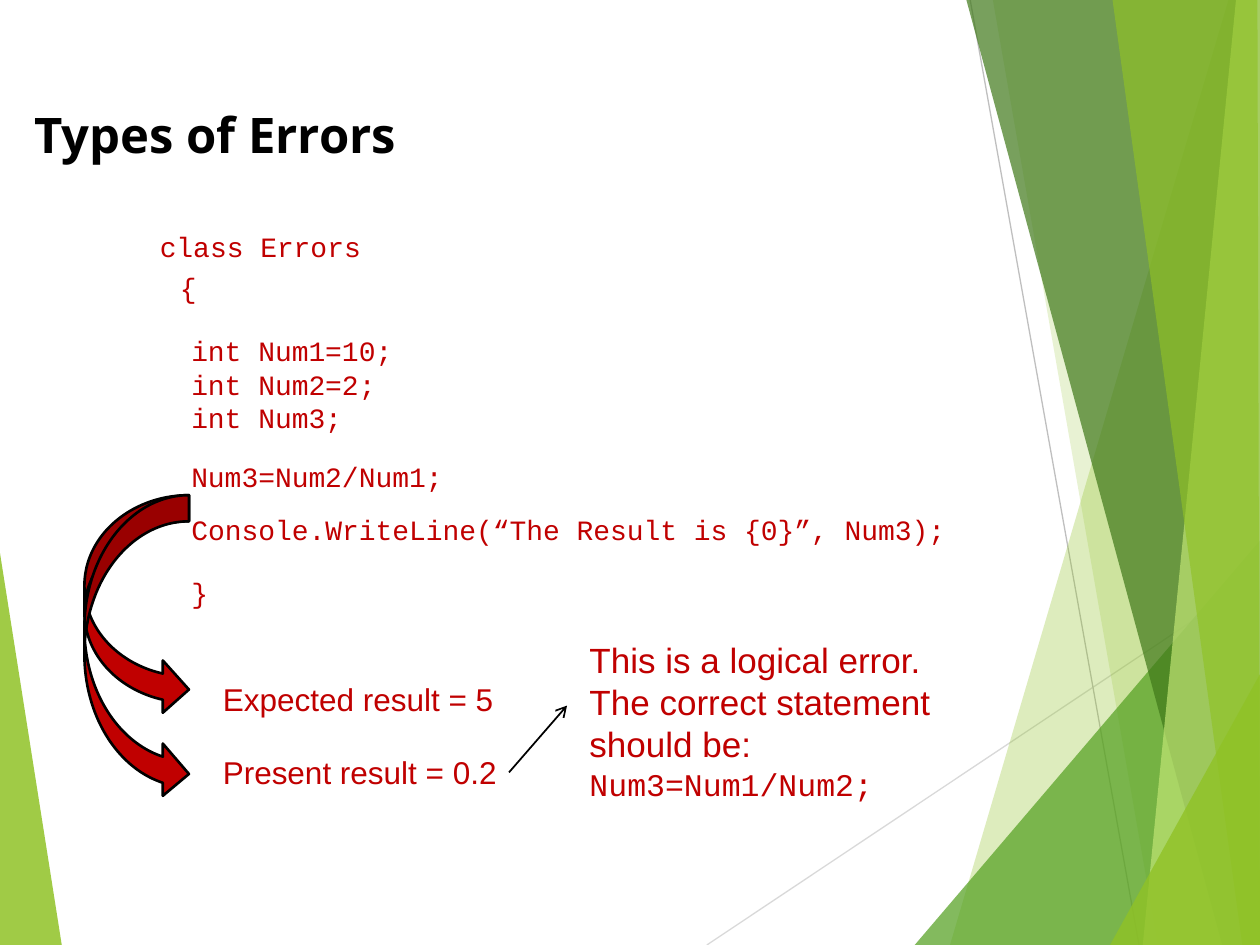
"""Build the slide on types of errors, with a logical error example."""
from lxml.etree import SubElement
from pptx import Presentation
from pptx.dml.color import RGBColor
from pptx.enum.shapes import MSO_CONNECTOR, MSO_SHAPE
from pptx.enum.text import MSO_ANCHOR, PP_ALIGN
from pptx.oxml.ns import qn
from pptx.util import Inches, Pt

RED = RGBColor(0xC0, 0x00, 0x00)
BLACK = RGBColor(0x00, 0x00, 0x00)
LIME = RGBColor(0x90, 0xC2, 0x26)
GREEN = RGBColor(0x54, 0xA0, 0x21)
DARK_GREEN = RGBColor(0x3F, 0x78, 0x19)
PALE_LIME = RGBColor(0xC0, 0xE4, 0x74)
LIGHT_GREY = RGBColor(0xD9, 0xD9, 0xD9)
GREY = RGBColor(0xBF, 0xBF, 0xBF)
CODE_FONT = "Courier New"
TEXT_FONT = "Arial"


def add_line(start, end, color, width):
    line = slide.shapes.add_connector(
        MSO_CONNECTOR.STRAIGHT, *map(Inches, start), *map(Inches, end))
    line.line.color.rgb = color
    line.line.width = Pt(width)
    SubElement(line._element.spPr, qn("a:effectLst"))
    return line


def format_run(run, font, size, color=RED):
    run.font.name = font
    run.font.size = Pt(size)
    run.font.color.rgb = color


deck = Presentation()
deck.slide_width = Inches(10)
deck.slide_height = Inches(7.5)
slide = deck.slides.add_slide(deck.slide_layouts[5])

add_line((5.61, 7.5), (10, 4.57), LIGHT_GREY, 0.75)
add_line((7.7, 0), (9.04, 7.5), GREY, 0.75)

facets = [
    ([(0, 4.39), (0.49, 7.5), (0, 7.5)], LIME, 85),
    ([(9.75, 0), (7.54, 7.5), (10, 7.5), (10, 0)], LIME, 30),
    ([(7.88, 0), (9.19, 7.5), (10, 7.5), (10, 0)], LIME, 20),
    ([(7.26, 7.5), (10, 4.29), (10, 7.5)], GREEN, 72),
    ([(7.67, 0), (9.7, 7.5), (10, 7.5), (10, 0)], DARK_GREEN, 70),
    ([(9.81, 0), (9.07, 7.5), (10, 7.5), (10, 0)], PALE_LIME, 70),
    ([(8.83, 0), (9.86, 7.5), (10, 7.5), (9.98, 0)], LIME, 65),
    ([(8.81, 7.5), (10, 5.35), (10, 7.5)], LIME, 80),
]
for corners, color, opacity in facets:
    points = [(Inches(x), Inches(y)) for x, y in corners]
    builder = slide.shapes.build_freeform(*points[0])
    builder.add_line_segments(points[1:], close=True)
    facet = builder.convert_to_shape()
    facet.shadow.inherit = False
    facet.fill.solid()
    facet.fill.fore_color.rgb = color
    facet.line.fill.background()
    color_element = facet._element.spPr.find(qn("a:solidFill"))[0]
    SubElement(color_element, qn("a:alpha"), val=str(opacity * 1000))

title = slide.shapes.title
title.left, title.top, title.width, title.height = map(Inches, (0.17, 0.78, 9.58, 0.57))
title.text_frame.text = "Types of Errors"
title.text_frame.vertical_anchor = MSO_ANCHOR.MIDDLE
title_para = title.text_frame.paragraphs[0]
title_para.alignment = PP_ALIGN.LEFT
format_run(title_para.runs[0], "Open Sans", 28, BLACK)
title_para.runs[0].font.bold = True

texts = [
    (1.17, 1.77, 2.17, 0.37, "class Errors", CODE_FONT, 16),
    (1.33, 2.1, 0.4, 0.37, "{", CODE_FONT, 16),
    (1.42, 2.6, 3, 0.91, "int Num1=10;\nint Num2=2;\nint Num3;", CODE_FONT, 16),
    (1.42, 3.6, 3.04, 0.37, "Num3=Num2/Num1;", CODE_FONT, 16),
    (1.42, 4.02, 7.25, 0.37,
     "Console.WriteLine(“The Result is {0}”, Num3);", CODE_FONT, 16),
    (1.42, 4.52, 0.34, 0.37, "}", CODE_FONT, 16),
    (1.67, 5.35, 2.4, 0.4, "Expected result = 5", TEXT_FONT, 18),
    (1.67, 5.93, 2.4, 0.4, "Present result = 0.2", TEXT_FONT, 18),
    (4.58, 5.02, 3.08, 1.73,
     "This is a logical error. The correct statement should be: ", TEXT_FONT, 20),
]
for left, top, width, height, text, font, size in texts:
    box = slide.shapes.add_textbox(*map(Inches, (left, top, width, height)))
    box.text_frame.word_wrap = True
    box.text_frame.text = text
    for para in box.text_frame.paragraphs:
        format_run(para.runs[0], font, size)

correction = para.add_run()
correction.text = "Num3=Num1/Num2;"
format_run(correction, CODE_FONT, 18)

for height in (1.75, 2.42):
    arrow = slide.shapes.add_shape(
        MSO_SHAPE.CURVED_RIGHT_ARROW, *map(Inches, (0.67, 3.93, 0.83, height)))
    arrow.shadow.inherit = False
    arrow.fill.solid()
    arrow.fill.fore_color.rgb = RED
    arrow.line.color.rgb = BLACK
    arrow.line.width = Pt(1.5)

pointer = add_line((4.04, 6.13), (4.5, 5.6), BLACK, 1)
SubElement(pointer.line._get_or_add_ln(), qn("a:tailEnd"), type="arrow")

deck.save("out.pptx")
